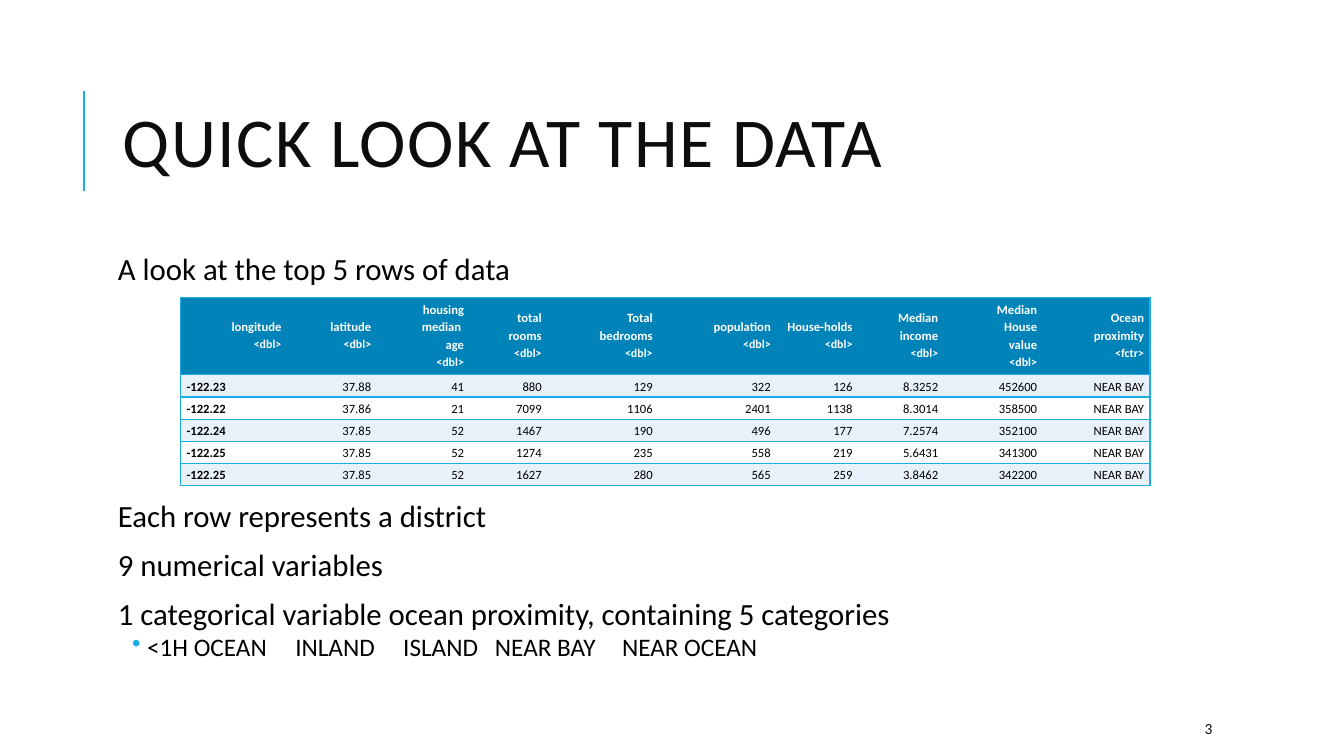
from lxml.etree import SubElement
from pptx import Presentation
from pptx.dml.color import RGBColor
from pptx.enum.shapes import MSO_CONNECTOR as CONNECTOR
from pptx.enum.text import MSO_ANCHOR as ANCHOR, MSO_AUTO_SIZE as AUTO_SIZE, PP_ALIGN as ALIGN
from pptx.oxml import parse_xml
from pptx.oxml.ns import nsdecls, qn
from pptx.util import Inches, Pt

WIDTH, HEIGHT = Inches(13.33), Inches(7.5)
FONT = "Calibri"
ACCENT, HEADER_FILL, BAND, WHITE = "1CADE4", "0083B9", "E8F1FA", "FFFFFF"
INK, BLACK = "0D0D0D", "000000"

COLUMN_WEIGHTS = [106, 89, 92, 77, 110, 117, 81, 85, 98, 106]
ROW_WEIGHTS = [77, 22, 22, 22, 22, 22]
HEADINGS = [
    ["longitude", "<dbl>"],
    ["latitude", "<dbl>"],
    ["housing", "median ", "age", "<dbl>"],
    ["total", "rooms", "<dbl>"],
    ["Total", "bedrooms", "<dbl>"],
    ["population", "<dbl>"],
    ["House-holds", "<dbl>"],
    ["Median", "income", "<dbl>"],
    ["Median", "House", "value", "<dbl>"],
    ["Ocean", "proximity", "<fctr>"],
]
DISTRICTS = [
    ["-122.23", "37.88", "41", "880", "129", "322", "126", "8.3252", "452600", "NEAR BAY"],
    ["-122.22", "37.86", "21", "7099", "1106", "2401", "1138", "8.3014", "358500", "NEAR BAY"],
    ["-122.24", "37.85", "52", "1467", "190", "496", "177", "7.2574", "352100", "NEAR BAY"],
    ["-122.25", "37.85", "52", "1274", "235", "558", "219", "5.6431", "341300", "NEAR BAY"],
    ["-122.25", "37.85", "52", "1627", "280", "565", "259", "3.8462", "342200", "NEAR BAY"],
]
STATEMENTS = [
    ("A look at the top 5 rows of data", 0),
    ("Each row represents a district", 153),
    ("9 numerical variables", 12),
    ("1 categorical variable ocean proximity, containing 5 categories", 12),
]
CATEGORIES = ["<1H OCEAN", "INLAND", "ISLAND", "NEAR BAY", "NEAR OCEAN"]
CATEGORY_STOPS = [1.76, 2.83, 3.74, 5]


def rgb(code):
    """Turn a hex string into a colour."""
    return RGBColor.from_string(code)


def place(left, top, width, height):
    """Turn percentages of the slide's size into a box."""
    return [int(side * share / 100) for side, share in
            zip((WIDTH, HEIGHT, WIDTH, HEIGHT), (left, top, width, height))]


def style(paragraph, size, color, bold=False, align=ALIGN.LEFT, spacing=1.0, before=0, after=0):
    """Set the font and spacing of a paragraph."""
    paragraph.alignment, paragraph.line_spacing = align, spacing
    paragraph.space_before, paragraph.space_after = Pt(before), Pt(after)
    font = paragraph.font
    font.name, font.size, font.bold = FONT, Pt(size), bold
    font.color.rgb = rgb(color)


def indent(paragraph, margin, hanging, bullet=None, stops=()):
    """Set the indent, the bullet and the tab stops of a paragraph."""
    props = paragraph._p.get_or_add_pPr()
    props.set("marL", str(Inches(margin)))
    props.set("indent", str(-Inches(hanging)))
    if bullet:
        SubElement(SubElement(props, qn("a:buClr")), qn("a:srgbClr"), val=ACCENT)
        SubElement(props, qn("a:buChar"), char=bullet)
    else:
        SubElement(props, qn("a:buNone"))
    if stops:
        tabs = SubElement(props, qn("a:tabLst"))
        for stop in stops:
            SubElement(tabs, qn("a:tab"), pos=str(Inches(stop)), algn="l")


def add_title(slide, wording):
    """Place and format the title with the accent rule beside it."""
    title = slide.shapes.title
    title.left, title.top, title.width, title.height = place(8.4, 8.53, 79.74, 21.87)
    frame = title.text_frame
    frame.text, frame.word_wrap = wording, True
    frame.auto_size, frame.vertical_anchor = AUTO_SIZE.NONE, ANCHOR.MIDDLE
    heading = frame.paragraphs[0]
    style(heading, 50, INK, spacing=0.8)
    heading.runs[0]._r.get_or_add_rPr().set("spc", "100")
    left, top, _, drop = place(6.23, 12, 0, 13.33)
    rule = slide.shapes.add_connector(CONNECTOR.STRAIGHT, left, top + drop, left, top)
    rule.line.color.rgb, rule.line.width = rgb(ACCENT), Pt(1.5)
    SubElement(rule._element.spPr, qn("a:effectLst"))


def add_frame(slide, box, inset=None, anchor=ANCHOR.TOP):
    """Add a wrapping text box and return its text frame."""
    frame = slide.shapes.add_textbox(*box).text_frame
    frame.word_wrap, frame.vertical_anchor = True, anchor
    if inset is not None:
        frame.margin_left = frame.margin_right = Inches(inset)
        frame.margin_top = frame.margin_bottom = Inches(inset)
    return frame


def add_statements(slide):
    """Write the statements around the table and the list of categories."""
    frame = add_frame(slide, place(8.4, 33.33, 83.85, 58.67), inset=0.05)
    for index, (wording, before) in enumerate(STATEMENTS):
        statement = frame.add_paragraph() if index else frame.paragraphs[0]
        statement.text = wording
        indent(statement, 0.1, 0.1)
        style(statement, 22, BLACK, spacing=0.8, before=before, after=2)
    categories = frame.add_paragraph()
    categories.text = "\t".join(CATEGORIES)
    categories.level = 1
    indent(categories, 0.29, 0.15, "•", CATEGORY_STOPS)
    style(categories, 18, BLACK, spacing=0.8, before=2, after=4)


def set_borders(cell, sides):
    """Draw the given sides of a cell and clear the others."""
    props = cell._tc.get_or_add_tcPr()
    for index, side in enumerate("LRTB"):
        paint = (f'<a:solidFill><a:srgbClr val="{ACCENT}"/></a:solidFill>'
                 if side in sides else "<a:noFill/>")
        props.insert(index, parse_xml(f'<a:ln{side} {nsdecls("a")} w="{Pt(1)}">{paint}</a:ln{side}>'))


def fill_cell(cell, lines, row, column):
    """Write and format one table cell by its place in the table."""
    header = row == 0
    cell.text = "\n".join(lines)
    cell.vertical_anchor = ANCHOR.MIDDLE
    cell.margin_left = cell.margin_right = Inches(0.06)
    cell.margin_top = Inches(0 if header else 0.02)
    cell.margin_bottom = Inches(0.03 if header else 0.02)
    cell.fill.solid()
    cell.fill.fore_color.rgb = rgb(HEADER_FILL if header else BAND if row % 2 else WHITE)
    for line in cell.text_frame.paragraphs:
        style(line, 8.5 if line.text.startswith("<") else 9, WHITE if header else BLACK,
              bold=header or column == 0,
              align=ALIGN.RIGHT if header or column else ALIGN.LEFT, spacing=1.15)
    edges = {0: "L", len(HEADINGS) - 1: "R"}
    set_borders(cell, "TB" + edges.get(column, ""))


def add_data_table(slide):
    """Add the table of the top districts."""
    box = place(13.43, 39.33, 72.15, 24.93)
    rows = [HEADINGS] + [[[value] for value in district] for district in DISTRICTS]
    table = slide.shapes.add_table(len(rows), len(HEADINGS), *box).table
    for column, weight in zip(table.columns, COLUMN_WEIGHTS):
        column.width = box[2] * weight // sum(COLUMN_WEIGHTS)
    for row, weight in zip(table.rows, ROW_WEIGHTS):
        row.height = box[3] * weight // sum(ROW_WEIGHTS)
    for r, values in enumerate(rows):
        for c, lines in enumerate(values):
            fill_cell(table.cell(r, c), lines, r, c)


def add_page_number(slide, number):
    """Write the page number at the lower right."""
    frame = add_frame(slide, place(88.9, 94.4, 7.95, 4), anchor=ANCHOR.MIDDLE)
    frame.text = number
    style(frame.paragraphs[0], 11, INK)


def main():
    """Build the slide and save it."""
    deck = Presentation()
    deck.slide_width, deck.slide_height = WIDTH, HEIGHT
    slide = deck.slides.add_slide(deck.slide_layouts[5])
    add_title(slide, "QUICK LOOK AT THE DATA")
    add_statements(slide)
    add_data_table(slide)
    add_page_number(slide, "3")
    deck.save("out.pptx")


if __name__ == "__main__":
    main()
